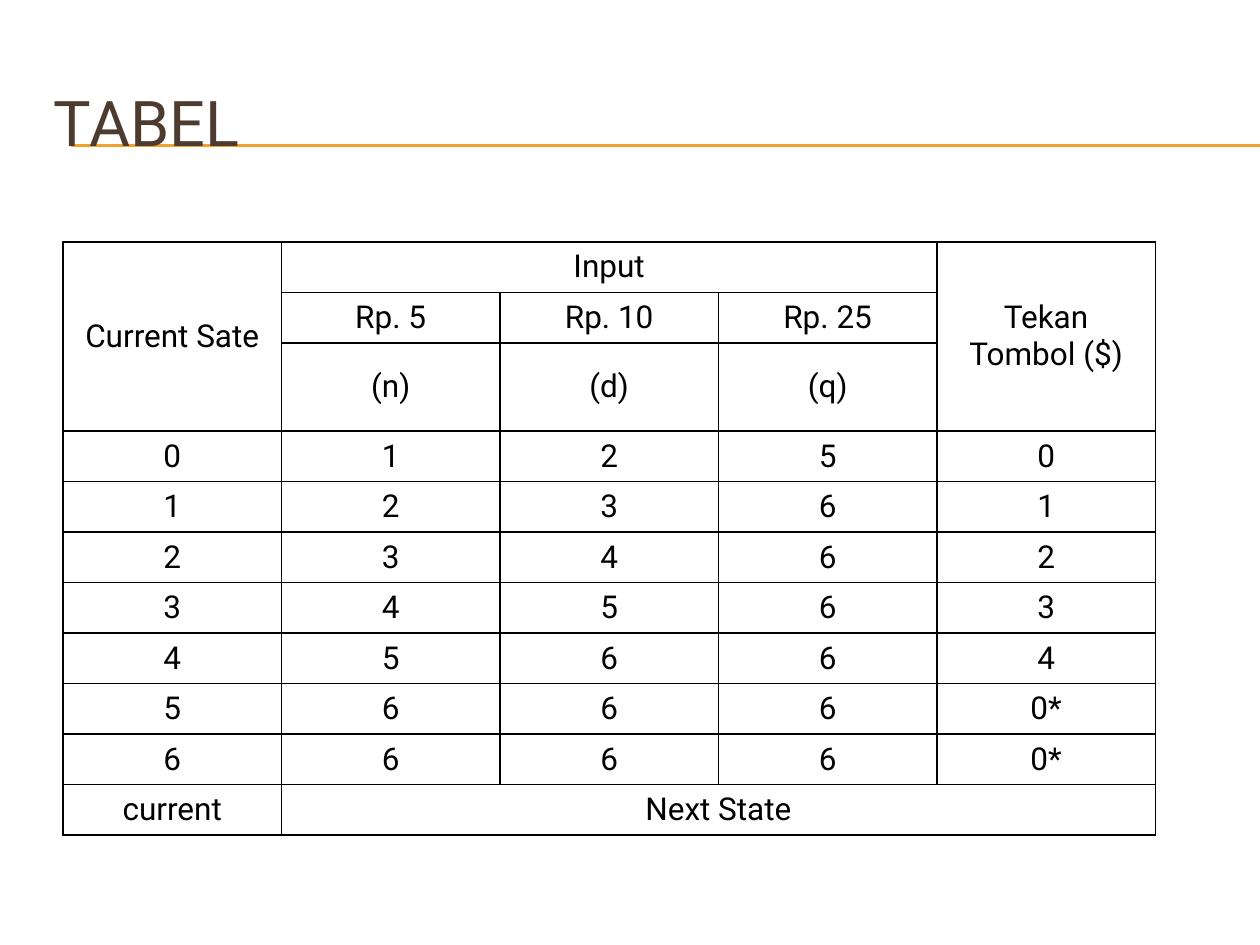
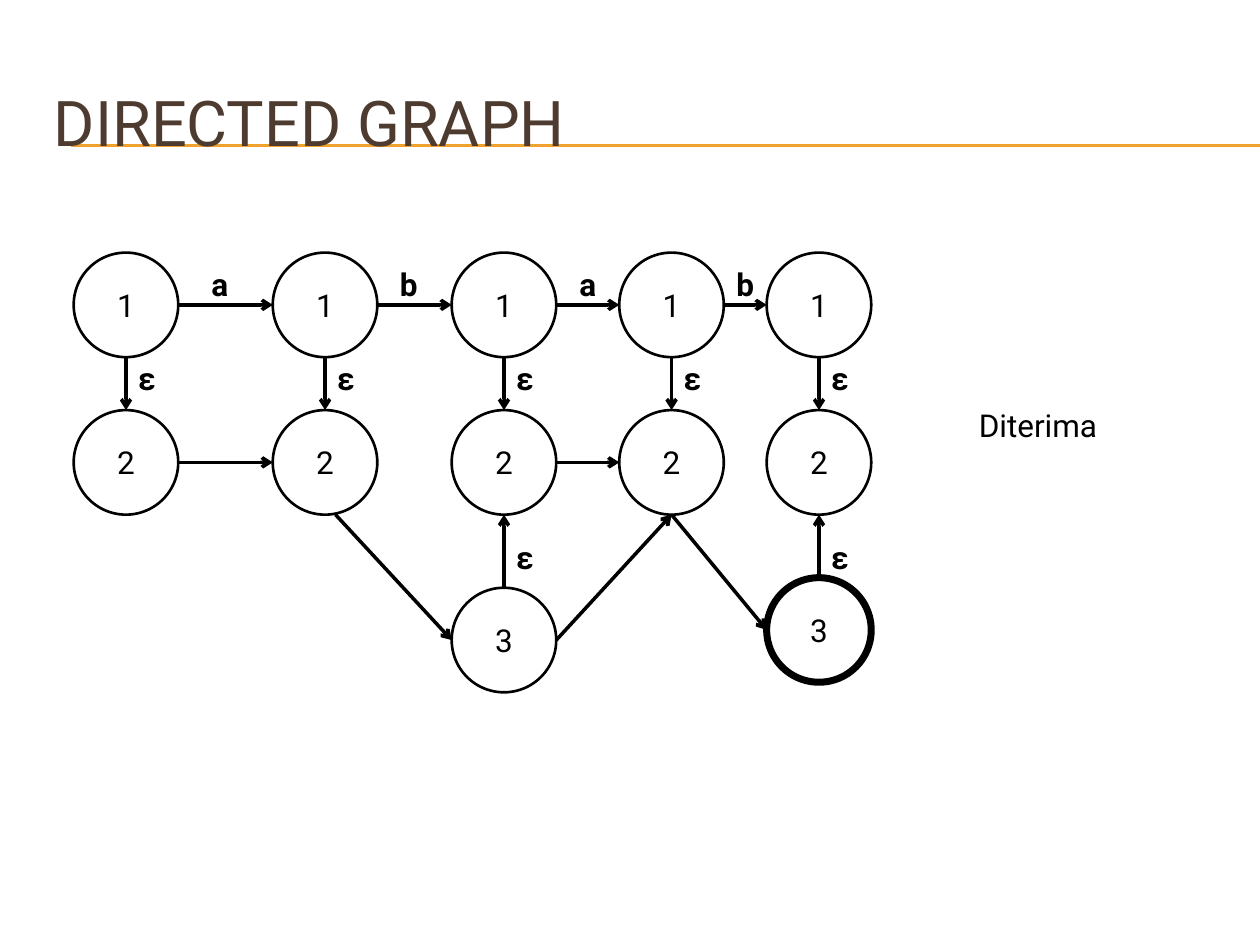
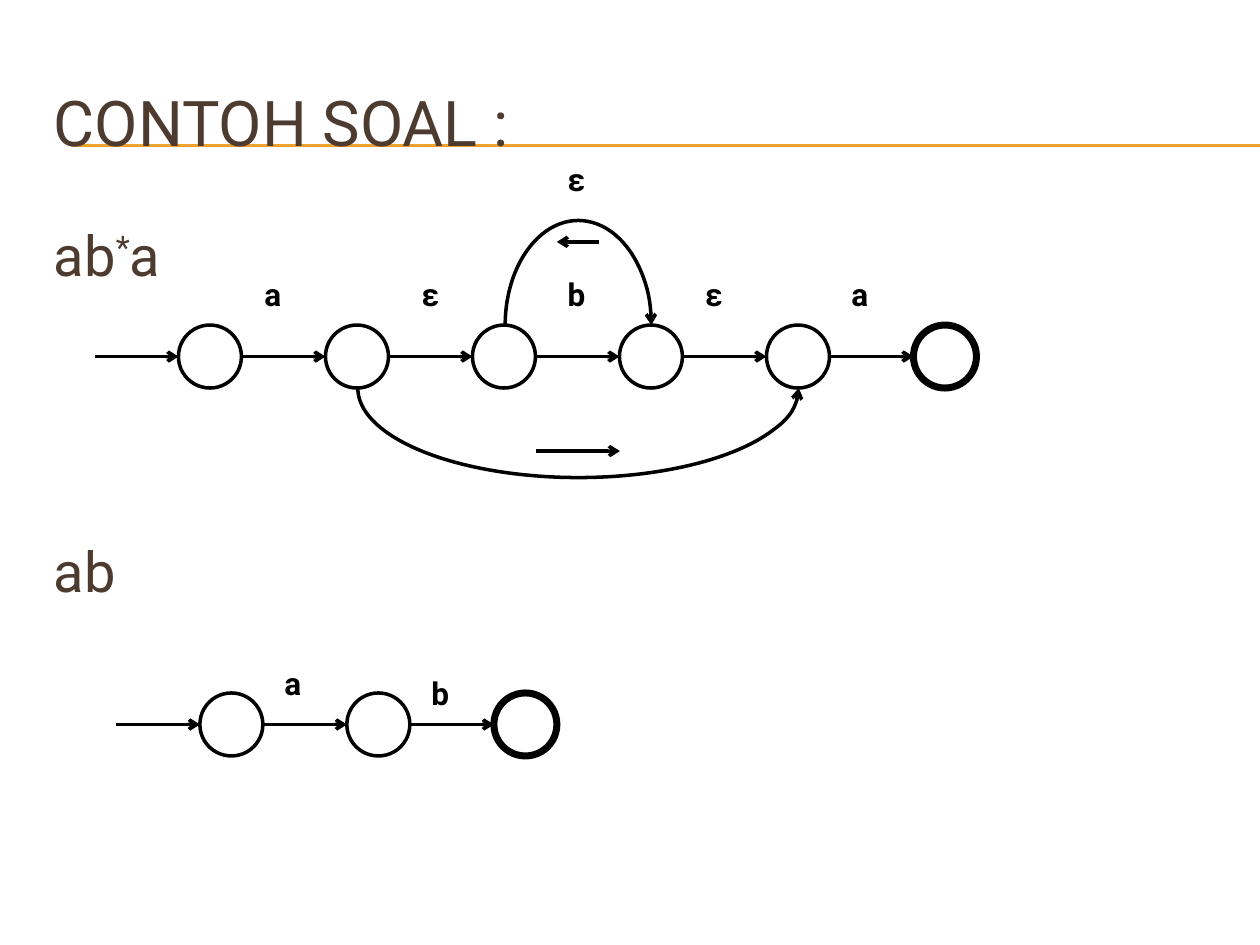
import pptx
import pptx.util
import pptx.dml.color
import pptx.enum.shapes
import pptx.enum.text
import pptx.oxml
import pptx.oxml.ns

Inches, Pt = pptx.util.Inches, pptx.util.Pt
RGB = pptx.dml.color.RGBColor
SHAPE = pptx.enum.shapes.MSO_SHAPE
ALIGN = pptx.enum.text.PP_ALIGN
ANCHOR = pptx.enum.text.MSO_ANCHOR

# Shared look
BLACK = RGB(0x00, 0x00, 0x00)
WHITE = RGB(0xFF, 0xFF, 0xFF)
BROWN = RGB(0x4E, 0x3B, 0x30)
GOLD = RGB(0xF0, 0xA2, 0x2E)
FONT = "Roboto"

# Table content: rows, then merges as (top, left, bottom, right)
TABLE = [
    ["Current Sate", "Input", "", "", "Tekan Tombol ($)"],
    ["", "Rp. 5", "Rp. 10", "Rp. 25", ""],
    ["", "(n)", "(d)", "(q)", ""],
    ["0", "1", "2", "5", "0"],
    ["1", "2", "3", "6", "1"],
    ["2", "3", "4", "6", "2"],
    ["3", "4", "5", "6", "3"],
    ["4", "5", "6", "6", "4"],
    ["5", "6", "6", "6", "0*"],
    ["6", "6", "6", "6", "0*"],
    ["current", "Next State", "", "", ""],
]
MERGES = [(0, 0, 2, 0), (0, 1, 0, 3), (0, 4, 2, 4), (10, 1, 10, 4)]

# Graph content: nodes are named by state and column
COLS = [1, 2.58, 4, 5.33, 6.5]
ROWS = {"1": 2.42, "2": 3.67}
NODES = {s + str(c): (x, y) for s, y in ROWS.items()
         for c, x in enumerate(COLS)}
NODES.update({"32": (4, 5.08), "34": (6.5, 5)})
FINAL = "34"
LEFT, RIGHT, TOP, BASE = (-1, 0), (1, 0), (0, -1), (0, 1)
EDGES = [("1%d" % c, RIGHT, "1%d" % (c + 1), LEFT) for c in range(4)]
EDGES += [("1%d" % c, BASE, "2%d" % c, TOP) for c in range(5)]
EDGES += [
    ("20", RIGHT, "21", LEFT), ("22", RIGHT, "23", LEFT),
    ("21", (0.2, 1), "32", LEFT), ("32", RIGHT, "23", BASE),
    ("23", BASE, "34", LEFT),
    ("32", TOP, "22", BASE), ("34", TOP, "24", BASE),
]
LETTERS = [("a", 1.75), ("b", 3.25), ("a", 4.67), ("b", 5.92)]

# Automata: start of the entry arrow, height, labels as (text, x, y)
CHAINS = [
    (0.75, 2.83, [("a", 2.17, 2.33), ("ε", 3.42, 2.33), ("b", 4.58, 2.33),
                  ("ε", 5.67, 2.33), ("a", 6.83, 2.33)]),
    (0.92, 5.75, [("a", 2.33, 5.42), ("b", 3.5, 5.5)]),
]
# Arcs: centre, half width, half height, first and last angle
ARCS = [(4.59, 2.58, 0.58, 0.83, 180, 0), (4.59, 3.08, 1.75, 0.71, 0, 180)]
HINTS = [(4.75, 1.92, 4.42, 1.92), (4.25, 3.58, 4.92, 3.58)]


def put(frame, *paras, size=18, color=BLACK, bold=False, align=ALIGN.CENTER,
        anchor=ANCHOR.MIDDLE, gap=0):
    """Fill a frame; a paragraph is text or a list of (text, raise) runs."""
    frame.word_wrap = True
    frame.vertical_anchor = anchor
    for i, runs in enumerate(paras):
        para = frame.add_paragraph() if i else frame.paragraphs[0]
        para.alignment = align
        para.space_before = Pt(gap if i else 0)
        for text, lift in [(runs, 0)] if isinstance(runs, str) else runs:
            run = para.add_run()
            run.text = text
            run.font.name, run.font.size = FONT, Pt(size)
            run.font.bold, run.font.color.rgb = bold, color
            if lift:
                run._r.get_or_add_rPr().set("baseline", str(lift * 1000))


def box(slide, x, y, w, h, *paras, **fmt):
    area = slide.shapes.add_textbox(Inches(x), Inches(y), Inches(w), Inches(h))
    put(area.text_frame, *paras, **fmt)


def label(slide, text, x, y):
    box(slide, x - 0.42, y - 0.25, 0.83, 0.5, text, bold=True)


def tip(shape, end):
    head = pptx.oxml.parse_xml(
        '<a:%s %s type="arrow"/>' % (end, pptx.oxml.ns.nsdecls("a")))
    shape.line._get_or_add_ln().append(head)


def stroke(shape, width, color=BLACK):
    shape.line.color.rgb, shape.line.width = color, Pt(width)


def line(slide, x1, y1, x2, y2, width=2, color=BLACK, arrow=True):
    link = slide.shapes.add_connector(
        pptx.enum.shapes.MSO_CONNECTOR.STRAIGHT,
        Inches(x1), Inches(y1), Inches(x2), Inches(y2))
    stroke(link, width, color)
    if arrow:
        tip(link, "tailEnd")
    link._element.spPr.append(pptx.oxml.parse_xml(
        "<a:effectLst %s/>" % pptx.oxml.ns.nsdecls("a")))


def shape(slide, kind, x, y, w, h, width):
    """Place an outlined shape by its centre."""
    form = slide.shapes.add_shape(kind, Inches(x - w / 2), Inches(y - h / 2),
                                  Inches(w), Inches(h))
    form.shadow.inherit = False
    stroke(form, width)
    return form


def node(slide, x, y, size, width, text=""):
    form = shape(slide, SHAPE.FLOWCHART_CONNECTOR, x, y, size, size, width)
    form.fill.solid()
    form.fill.fore_color.rgb = WHITE
    if text:
        put(form.text_frame, text)


def page(deck, title):
    slide = deck.slides.add_slide(deck.slide_layouts[6])
    for y in (1.15, 1.16):
        line(slide, 0.56, y, 10, y, 0.75, GOLD, arrow=False)
    box(slide, 0.33, 0.5, 9.5, 0.92, title, size=36, color=BROWN,
        align=ALIGN.LEFT)
    return slide


def border(cell):
    props = cell._tc.get_or_add_tcPr()
    for side in "LRTB":
        props.append(pptx.oxml.parse_xml(
            '<a:ln%s %s w="12700"><a:solidFill><a:srgbClr val="%s"/>'
            "</a:solidFill></a:ln%s>"
            % (side, pptx.oxml.ns.nsdecls("a"), BLACK, side)))


def states(deck):
    slide = page(deck, "TABEL")
    grid = slide.shapes.add_table(len(TABLE), len(TABLE[0]), Inches(0.5),
                                  Inches(1.92), Inches(8.67), Inches(4.41)).table
    grid.first_row = grid.horz_banding = False
    for r, row in enumerate(TABLE):
        for c, text in enumerate(row):
            cell = grid.cell(r, c)
            border(cell)
            cell.fill.background()
            cell.vertical_anchor = ANCHOR.MIDDLE
            if text:
                put(cell.text_frame, text)
    for top, left, low, right in MERGES:
        grid.cell(top, left).merge(grid.cell(low, right))


def graph(deck):
    slide = page(deck, "DIRECTED GRAPH")
    size = 0.83

    def port(name, side):
        return [p + d * size / 2 for p, d in zip(NODES[name], side)]

    for name, (x, y) in NODES.items():
        node(slide, x, y, size, 4 if name == FINAL else 1.5, name[0])
    for start, out, end, into in EDGES:
        line(slide, *port(start, out), *port(end, into))
    for text, x in LETTERS:
        label(slide, text, x, 2.25)
    for x, y in [(x, 3) for x in COLS] + [(4, 4.42), (6.5, 4.42)]:
        label(slide, "ε", x + 0.17, y)
    box(slide, 7.67, 3.17, 1.83, 0.4, "Diterima", align=ALIGN.LEFT,
        anchor=ANCHOR.TOP)


def tasks(deck):
    slide = page(deck, "CONTOH SOAL :")
    box(slide, 0.33, 1.7, 9.5, 4.95, [("ab", 0), ("*", 30), ("a", 0)], "ab",
        size=32, color=BROWN, align=ALIGN.LEFT, anchor=ANCHOR.TOP, gap=142.5)
    # Chains of arrows and circles, the last circle heavy
    size, reach = 0.5, 2 / 3
    for left, y, marks in CHAINS:
        for i in range(len(marks) + 1):
            x = left + i * (size + reach)
            line(slide, x, y, x + reach, y)
            node(slide, x + reach + size / 2, y, size,
                 4 if i == len(marks) else 2)
        for mark in marks:
            label(slide, *mark)
    # Loop and bypass
    for x, y, rx, ry, first, last in ARCS:
        arc = shape(slide, SHAPE.ARC, x, y, 2 * rx, 2 * ry, 2)
        arc.fill.background()
        for i, turn in enumerate((first, last)):
            arc.adjustments[i] = turn * 0.6
        tip(arc, "headEnd" if last else "tailEnd")
    for hint in HINTS:
        line(slide, *hint)
    label(slide, "ε", 4.58, 1.42)


def main():
    deck = pptx.Presentation()
    deck.slide_width, deck.slide_height = Inches(10), Inches(7.5)
    states(deck)
    graph(deck)
    tasks(deck)
    deck.save("out.pptx")


if __name__ == "__main__":
    main()
